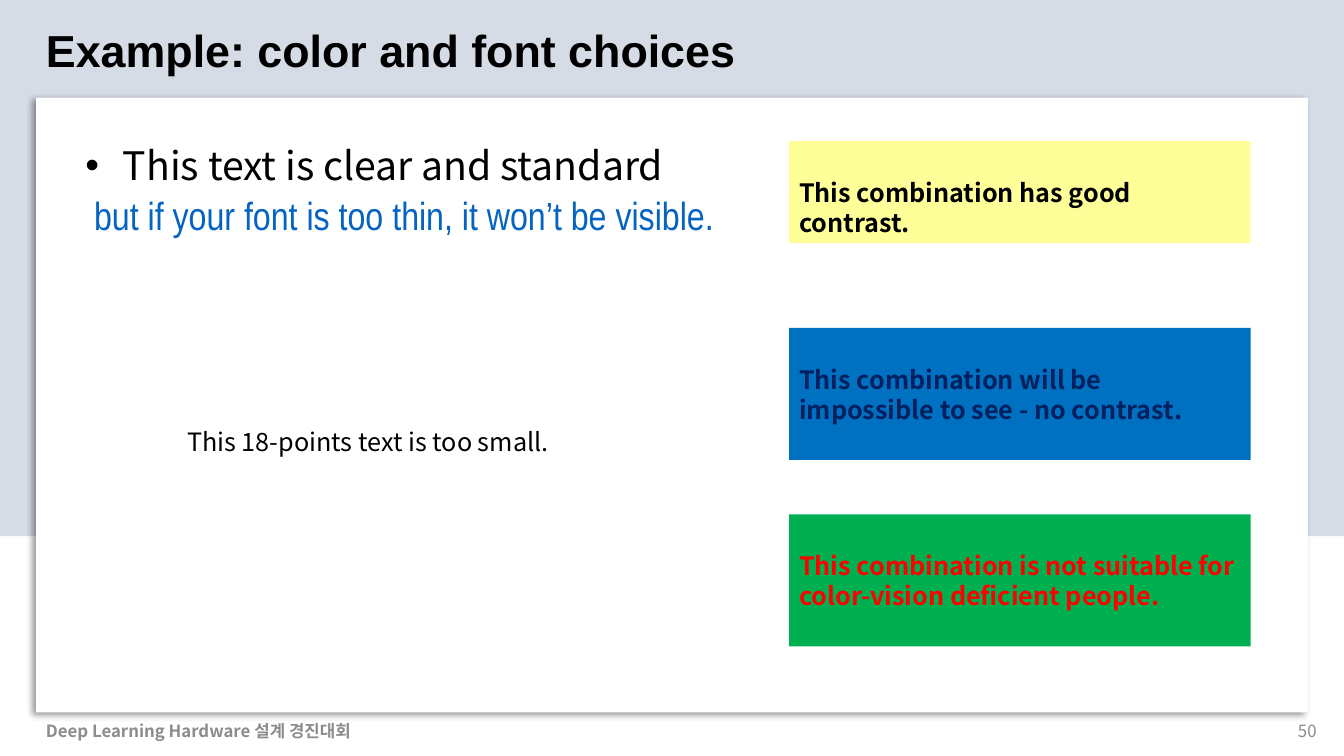
from lxml import etree
from pptx import Presentation
from pptx.dml.color import RGBColor
from pptx.enum.shapes import MSO_SHAPE
from pptx.enum.text import MSO_ANCHOR, PP_ALIGN
from pptx.oxml import parse_xml
from pptx.oxml.ns import nsdecls, qn
from pptx.util import Cm, Pt

RECT = MSO_SHAPE.RECTANGLE
TOP, MIDDLE = MSO_ANCHOR.TOP, MSO_ANCHOR.MIDDLE
LEFT, RIGHT = PP_ALIGN.LEFT, PP_ALIGN.RIGHT

BLACK = RGBColor(0, 0, 0)
WHITE = RGBColor(255, 255, 255)
MIST = RGBColor(0xD6, 0xDC, 0xE5)
GRAY = RGBColor(0x8C, 0x8C, 0x8C)
LINK = RGBColor(0x05, 0x63, 0xC1)
YELLOW = RGBColor(0xFF, 0xFF, 0x99)
BLUE = RGBColor(0x00, 0x70, 0xC0)
NAVY = RGBColor(0x00, 0x20, 0x60)
GREEN = RGBColor(0x00, 0xB0, 0x50)
RED = RGBColor(0xFF, 0, 0)

SANS, NARROW, NOTO = "Arial", "Arial Narrow", "Noto Sans CJK KR"

TITLE = "Example: color and font choices"
CLEAR = "This text is clear and standard"
THIN = "but if your font is too thin, it won’t be visible."
SMALL = "This 18-points text is too small."
FOOTER = "Deep Learning Hardware 설계 경진대회"
PAGE = "50"
# text, fill, font colour, height in cm
SAMPLES = [
    ("This combination has good contrast.", YELLOW, BLACK, 2.57),
    ("This combination will be impossible to see - no contrast.", BLUE, NAVY, 3.33),
    ("This combination is not suitable for color-vision deficient people.", GREEN, RED, 3.33),
]
SAMPLE_LEFT, SAMPLE_TOP, SAMPLE_WIDTH, SAMPLE_STEP = 19.89, 3.56, 11.63, 4.7
SAMPLE_INSET = 0.91

prs = Presentation()
prs.slide_width, prs.slide_height = Cm(33.87), Cm(19.05)
slide = prs.slides.add_slide(prs.slide_layouts[6])


def style(run, size, color, font=NOTO, bold=False):
    run.font.size, run.font.bold, run.font.name = Pt(size), bold, font
    run.font.color.rgb = color
    east = etree.SubElement(run.font._element, qn("a:ea"))
    east.set("typeface", font)


def panel(x, y, w, h, fill):
    box = slide.shapes.add_shape(RECT, Cm(x), Cm(y), Cm(w), Cm(h))
    box.shadow.inherit = False
    box.fill.solid()
    box.fill.fore_color.rgb = fill
    box.line.fill.background()
    return box


def label(x, y, w, h, text, size, color, font=NOTO, bold=False,
          anchor=TOP, align=LEFT, wrap=True):
    frame = slide.shapes.add_textbox(Cm(x), Cm(y), Cm(w), Cm(h)).text_frame
    frame.word_wrap, frame.vertical_anchor = wrap, anchor
    frame.text = text
    para = frame.paragraphs[0]
    para.alignment = align
    style(para.runs[0], size, color, font, bold)
    return frame


def bullet(para, indent):
    props = para._p.get_or_add_pPr()
    props.set("marL", str(indent))
    props.set("indent", str(-indent))
    etree.SubElement(props, qn("a:buFont")).set("typeface", SANS)
    etree.SubElement(props, qn("a:buChar")).set("char", "•")


panel(0, 0, 33.87, 13.51, MIST)
card = panel(0.91, 2.46, 32.05, 15.49, WHITE)
shade = parse_xml(
    f'<a:outerShdw {nsdecls("a")} blurRad="{Pt(4)}" dist="{Pt(3)}" dir="8100000">'
    '<a:srgbClr val="000000"><a:alpha val="40000"/></a:srgbClr></a:outerShdw>')
card._element.spPr.find(qn("a:effectLst")).append(shade)

label(0.91, 0.46, 18.03, 1.63, TITLE, 32, BLACK, SANS, True, wrap=False)

body = label(1.9, 3.56, 16.76, 5.59, CLEAR, 28, BLACK)
thin = body.add_paragraph()
for text, font in ((" ", NOTO), (THIN, NARROW)):
    run = thin.add_run()
    run.text = text
    style(run, 28, LINK, font)
for para in body.paragraphs:
    para.line_spacing = 0.9
    para.space_before = Pt(5.6)
bullet(body.paragraphs[0], Cm(0.95))

small = label(4.47, 10.62, 9.91, 1.19, SMALL, 18, BLACK)
small.paragraphs[0].space_before = Pt(3.6)

for i, (text, fill, color, height) in enumerate(SAMPLES):
    box = panel(SAMPLE_LEFT, SAMPLE_TOP + i * SAMPLE_STEP, SAMPLE_WIDTH, height, fill)
    frame = box.text_frame
    frame.word_wrap, frame.vertical_anchor = True, TOP
    frame.margin_top = Cm(SAMPLE_INSET)
    frame.text = text
    para = frame.paragraphs[0]
    para.alignment = LEFT
    style(para.runs[0], 18, color, bold=True)

label(0.91, 17.91, 11.43, 1.02, FOOTER, 12, GRAY, bold=True, anchor=MIDDLE)
label(25.81, 17.91, 7.62, 1.02, PAGE, 12, GRAY, anchor=MIDDLE, align=RIGHT)

prs.save("out.pptx")
